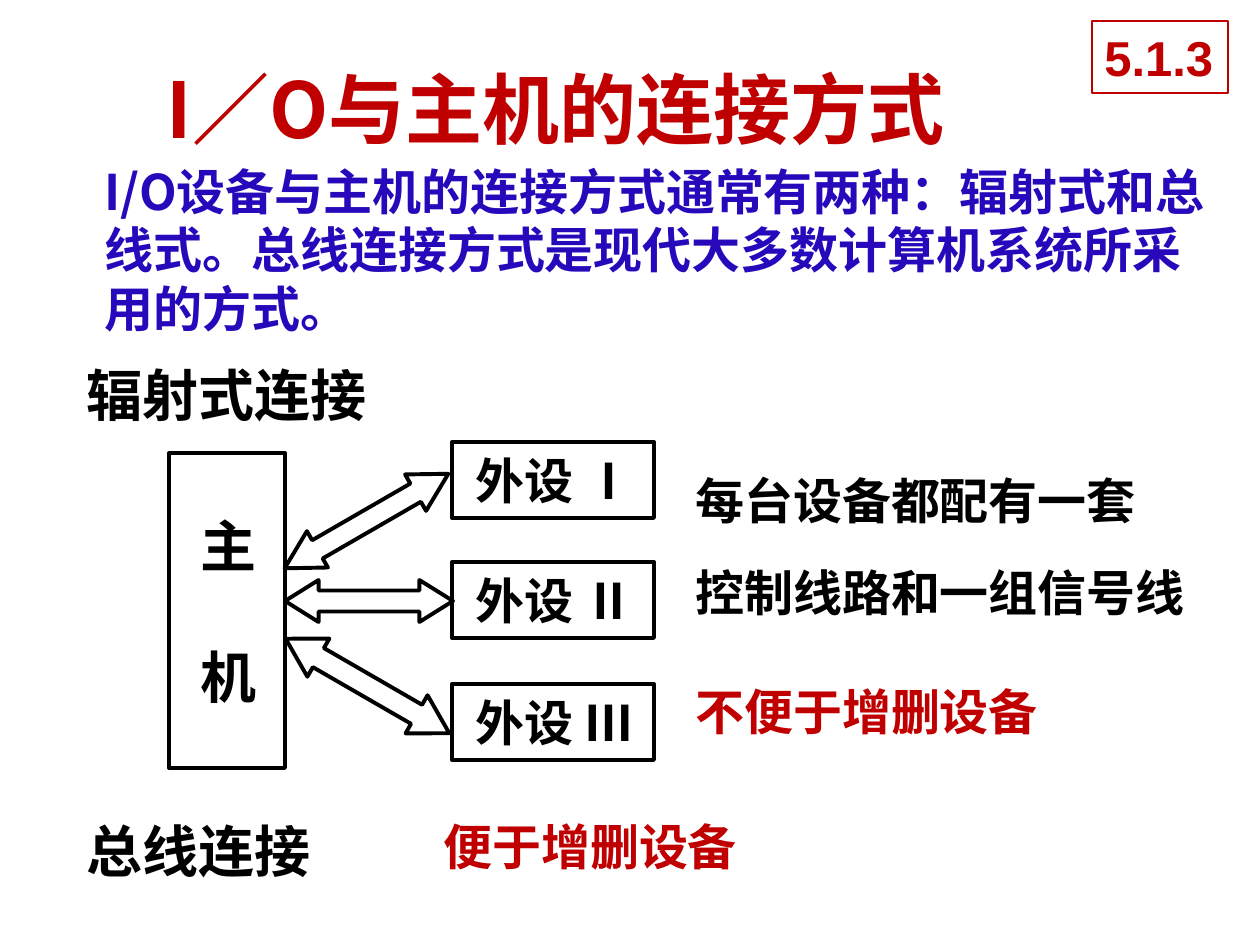
from lxml import etree
from pptx import Presentation, util as u
from pptx.dml.color import RGBColor
from pptx.enum import shapes, text
from pptx.oxml import ns

PX = u.Inches(1) // 126
COLORS = {"black": "000000", "red": "C00000", "blue": "2709BB", "white": "FFFFFF"}
CJK = "Noto Sans CJK SC"
SERIF = "Times New Roman"

TITLE = "I／O与主机的连接方式"
INTRO = ("I/O设备与主机的连接方式通常有两种：辐射式和总线式。"
         "总线连接方式是现代大多数计算机系统所采用的方式。")
SECTION = "5.1.3"
LABELS = [
    ("辐射式连接", (74, 354, 535, 79), 32, "black"),
    ("总线连接", (74, 810, 494, 79), 32, "black"),
    ("主", (188, 505, 82, 79), 32, "black"),
    ("机", (188, 636, 82, 79), 32, "black"),
    ("每台设备都配有一套", (683, 464, 469, 72), 28, "black"),
    ("控制线路和一组信号线", (683, 556, 518, 72), 28, "black"),
    ("不便于增删设备", (683, 675, 431, 72), 28, "red"),
    ("便于增删设备", (431, 810, 427, 72), 28, "red"),
]
HOST = (169, 453, 116, 315)
DEVICES = [("外设 Ⅰ", 442), ("外设 Ⅱ", 562), ("外设 Ⅲ", 684)]
DEVICE_LEFT, DEVICE_WIDTH, DEVICE_HEIGHT = 452, 202, 76
LINKS = [
    ((285, 580, 168, 42), 0, 0.8),
    ((273, 664, 189, 44), 30, 0.86),
    ((272, 500, 189, 42), 150, 0.9),
]


def rgb(color):
    return RGBColor.from_string(COLORS[color])


def emu(box):
    return [length * PX for length in box]


def write(holder, words, size, color, font=SERIF, **frame_format):
    frame = holder.text_frame
    settings = {"word_wrap": True, "auto_size": text.MSO_AUTO_SIZE.NONE,
                **frame_format}
    for name, value in settings.items():
        setattr(frame, name, value)
    paragraph = frame.paragraphs[0]
    paragraph.alignment = text.PP_ALIGN.LEFT
    run = paragraph.add_run()
    run.text = words
    for name, value in {"name": font, "size": u.Pt(size), "bold": True}.items():
        setattr(run.font, name, value)
    run.font.color.rgb = rgb(color)
    latin = run.font._element.find(ns.qn("a:latin"))
    east_asian = etree.Element(ns.qn("a:ea"), typeface=CJK)
    latin.addnext(east_asian)
    return paragraph


def outlined(slide, preset, box, color="black", weight=2.25, fill=None):
    shape = slide.shapes.add_shape(preset, *emu(box))
    shape.shadow.inherit = False
    if fill:
        shape.fill.solid()
        shape.fill.fore_color.rgb = rgb(fill)
    else:
        shape.fill.background()
    shape.line.color.rgb = rgb(color)
    shape.line.width = u.Pt(weight)
    return shape


def place(holder, box):
    for name, value in zip(("left", "top", "width", "height"), emu(box)):
        setattr(holder, name, value)


def main():
    deck = Presentation()
    deck.slide_width, deck.slide_height = emu((1260, 945))
    slide = deck.slides.add_slide(deck.slide_layouts[1])
    rect = shapes.MSO_SHAPE.RECTANGLE
    middle = text.MSO_ANCHOR.MIDDLE

    title, intro = slide.placeholders
    place(title, (154, 55, 1061, 105))
    write(title, TITLE, 44, "red", CJK, vertical_anchor=middle)

    place(intro, (44, 155, 1176, 199))
    paragraph = write(intro, INTRO, 28, "blue", CJK)
    paragraph.line_spacing = u.Pt(33.5)
    paragraph.space_before = u.Pt(0)
    properties = paragraph._p.get_or_add_pPr()
    properties.set("marL", str(48 * PX))
    properties.set("indent", "0")
    etree.SubElement(properties, ns.qn("a:buNone"))

    outlined(slide, rect, HOST)
    for name, top in DEVICES:
        box = (DEVICE_LEFT, top, DEVICE_WIDTH, DEVICE_HEIGHT)
        device = outlined(slide, rect, box)
        write(device, name, 28, "black", vertical_anchor=middle,
              margin_left=24 * PX, margin_right=0)

    for box, angle, head in LINKS:
        link = outlined(slide, shapes.MSO_SHAPE.LEFT_RIGHT_ARROW, box)
        link.rotation = angle
        link.adjustments[0] = 0.5
        link.adjustments[1] = head

    for words, box, size, color in LABELS:
        write(slide.shapes.add_textbox(*emu(box)), words, size, color)

    section = outlined(slide, rect, (1092, 21, 136, 72), "red", 0.75, "white")
    write(section, SECTION, 28, "red", "Arial", vertical_anchor=middle,
          margin_right=0)

    deck.save("out.pptx")


if __name__ == "__main__":
    main()
